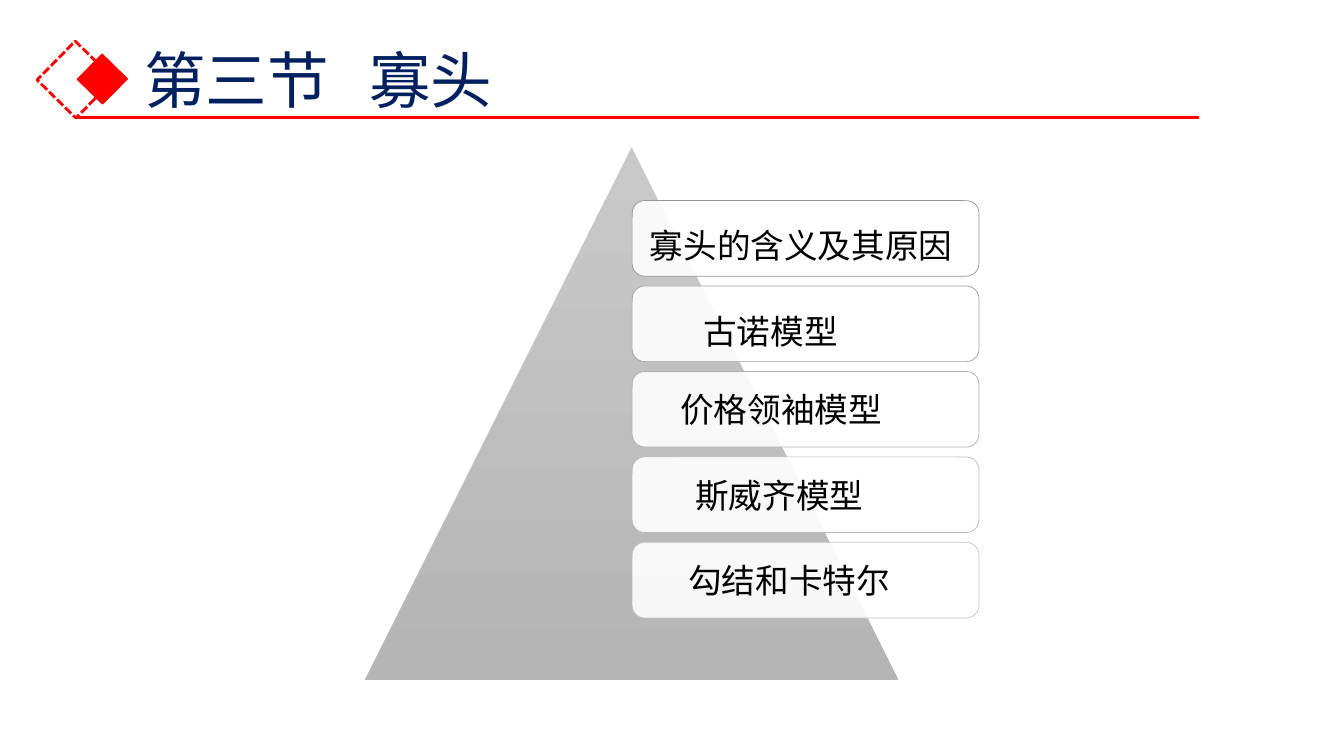
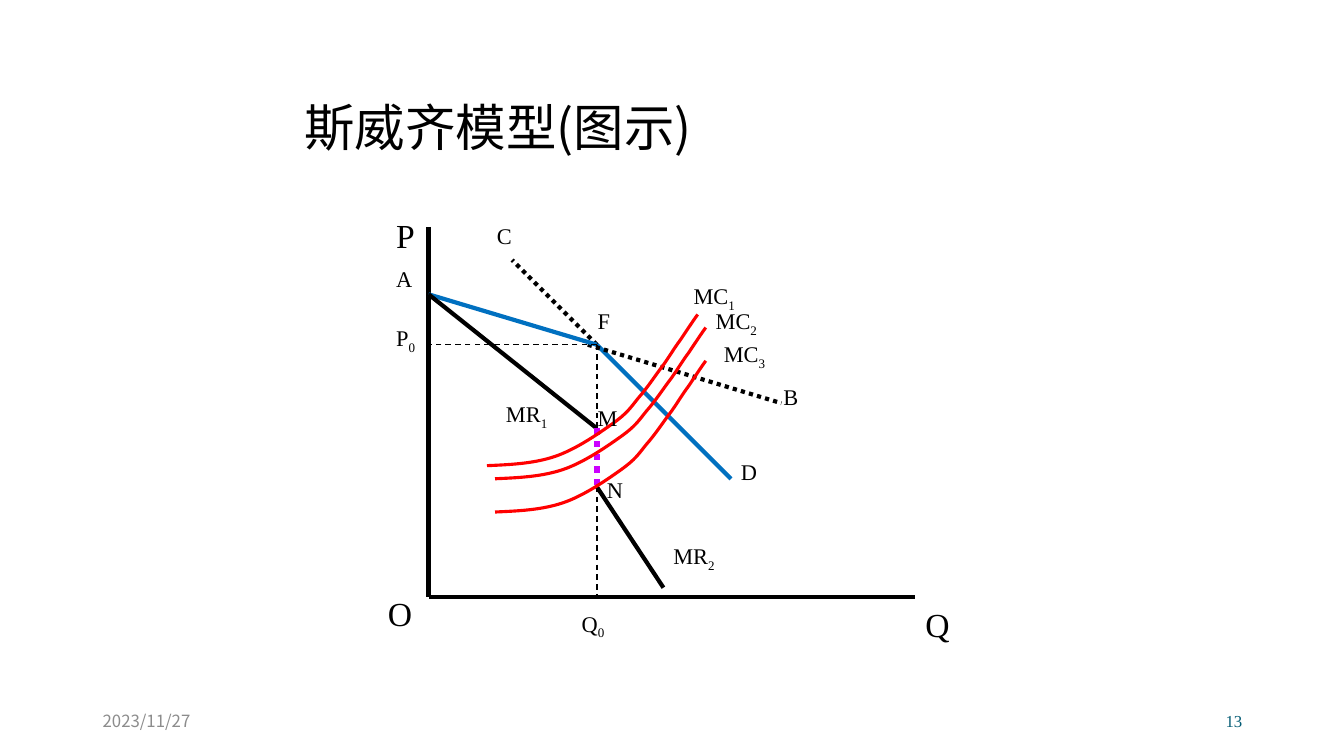
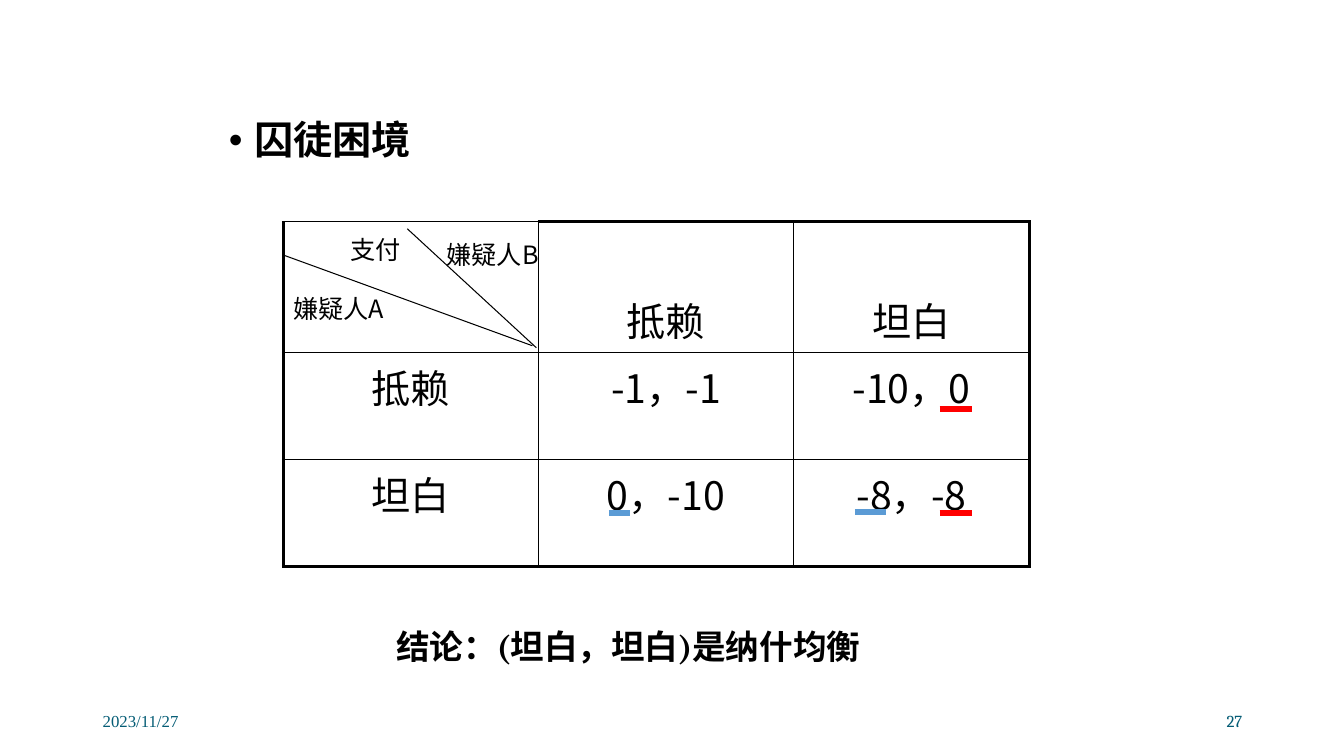
import pptx
import pptx.util
import pptx.dml.color
import pptx.enum.dml
import pptx.enum.shapes
import pptx.enum.text
import pptx.oxml
import pptx.oxml.ns
from lxml import etree

Inches, Pt = pptx.util.Inches, pptx.util.Pt
RGB = pptx.dml.color.RGBColor.from_string
SHAPE = pptx.enum.shapes.MSO_SHAPE
ALIGN = pptx.enum.text.PP_ALIGN
ANCHOR = pptx.enum.text.MSO_ANCHOR
DASHES = {
    "dash": pptx.enum.dml.MSO_LINE.DASH,
    "sysDash": pptx.enum.dml.MSO_LINE.SQUARE_DOT,
    "sysDot": pptx.enum.dml.MSO_LINE.ROUND_DOT,
}
qn = pptx.oxml.ns.qn

CJK, SERIF, CAMBRIA = "Noto Sans CJK SC", "Times New Roman", "Cambria"
THEME = {
    "black": "000000", "white": "FFFFFF", "red": "FF0000", "navy": "002060",
    "blue": "0070C0", "sky": "5B9BD5", "violet": "CC00FF", "teal": "045C75",
    "grey": "8C8C8C", "pyramid": ("C9C9C9", "B5B5B5"),
}
STYLES = {
    "section": {"name": CJK, "size": Pt(44), "color": "navy"},
    "title": {"name": CJK, "size": Pt(36), "color": "black"},
    "bullet": {"name": CJK, "size": Pt(28), "color": "black", "bold": True},
    "cell": {"name": CJK, "size": Pt(28), "color": "black"},
    "card": {"name": CJK, "size": Pt(24), "color": "black"},
    "corner": {"name": CJK, "size": Pt(18), "color": "black"},
    "conclusion": {"name": CAMBRIA, "size": Pt(24), "color": "black", "bold": True},
    "axis": {"name": SERIF, "size": Pt(24), "color": "black"},
    "label": {"name": SERIF, "size": Pt(16), "color": "black"},
    "date_grey": {"name": CJK, "size": Pt(12), "color": "grey"},
    "footer": {"name": SERIF, "size": Pt(12), "color": "teal"},
    "footer_cambria": {"name": CAMBRIA, "size": Pt(12), "color": "teal"},
}
DATE = "2023/11/27"

SECTION_TITLE = "第三节\t寡头"
CARDS = [
    ("寡头的含义及其原因", 0, 0.14, "969696"),
    ("古诺模型", 0.53, 0.14, "A2A2A2"),
    ("价格领袖模型", 0.3, 0, "AEAEAE"),
    ("斯威齐模型", 0.45, 0, "BABABA"),
    ("勾结和卡特尔", 0.38, 0, "C6C6C6"),
]

CHART_TITLE = "斯威齐模型(图示)"
ORIGIN, A, F, M, N = (4.25, 5.92), (4.25, 2.92), (5.92, 3.42), (5.92, 4.25), (5.92, 4.83)
CHART_LINES = [
    ((4.25, 2.25), ORIGIN, "black", 3, None),
    (ORIGIN, (9.08, 5.92), "black", 3, None),
    (F, (7.25, 4.75), "blue", 3, None),
    ((5.83, 3.42), (7.75, 4), "black", 3, "sysDot"),
    (F, (5.08, 2.58), "black", 3, "sysDot"),
    (F, A, "blue", 3, None),
    (A, M, "black", 3, None),
    (N, (6.58, 5.83), "black", 3, None),
    (F, M, "black", 1, "dash"),
    (M, N, "violet", 4.5, "sysDot"),
    (N, (5.92, 5.92), "black", 1, "dash"),
    (F, (4.25, 3.42), "black", 1, "dash"),
]
MC_CURVE = [
    (4.83, 4.62),
    (5.06, 4.61), (5.29, 4.6), (5.5, 4.53),
    (5.71, 4.46), (5.94, 4.3), (6.08, 4.2),
    (6.22, 4.1), (6.25, 4.05), (6.33, 3.95),
    (6.42, 3.85), (6.51, 3.71), (6.58, 3.62),
    (6.65, 3.52), (6.69, 3.45), (6.75, 3.37),
    (6.81, 3.28), (6.89, 3.16), (6.92, 3.12),
]
MC_SHIFTS = [(0, 0), (0.08, 0.13), (0.08, 0.46)]
AXIS_LABELS = [("O", 3.75, 5.83), ("Q", 9.08, 5.94), ("P", 3.83, 2.08)]
POINT_LABELS = [
    ("A", "", 3.83, 2.58), ("F", "", 5.83, 3), ("D", "", 7.25, 4.5),
    ("B", "", 7.67, 3.75), ("C", "", 4.83, 2.15), ("M", "", 5.83, 3.96),
    ("N", "", 5.92, 4.67), ("P", "0", 3.83, 3.17), ("Q", "0", 5.67, 6),
    ("MR", "2", 6.58, 5.33), ("MR", "1", 4.92, 3.92), ("MC", "1", 6.78, 2.75),
    ("MC", "2", 7, 3), ("MC", "3", 7.08, 3.33),
]

BULLET = "囚徒困境"
PAYOFFS = [
    ["", "抵赖", "坦白"],
    ["抵赖", "-1，-1", "-10，0"],
    ["坦白", "0，-10", "-8，-8"],
]
COL_WIDTHS, ROW_HEIGHTS = [2.53, 2.53, 2.34], [1.3, 1.06, 1.06]
CORNER_LABELS = [
    ("嫌疑人A", 2.81, 2.86, 1.36),
    ("嫌疑人B", 4.33, 2.33, 1.26),
    ("支付", 3.38, 2.28, 1.58),
]
PAYOFF_LINES = [
    ((4.04, 2.27), (5.32, 3.45), "black", 0.75, None),
    ((2.81, 2.53), (5.28, 3.43), "black", 0.75, None),
    ((6.04, 5.09), (6.25, 5.09), "sky", 4.5, None),
    ((8.48, 5.08), (8.79, 5.08), "sky", 4.5, None),
    ((9.32, 5.09), (9.64, 5.09), "red", 4.5, None),
    ((9.32, 4.06), (9.64, 4.06), "red", 4.5, None),
]
CONCLUSION = "结论：(坦白，坦白)是纳什均衡"


def set_attrs(obj, **values):
    for key, value in values.items():
        setattr(obj, key, value)


def place(sp, *box):
    set_attrs(sp, **dict(zip(("left", "top", "width", "height"), map(Inches, box))))


def add_run(p, text, style):
    r = p.add_run()
    r.text = text
    for key, value in STYLES[style].items():
        if key == "color":
            r.font.color.rgb = RGB(THEME[value])
        else:
            setattr(r.font, key, value)
    etree.SubElement(r._r.get_or_add_rPr(), qn("a:ea")).set("typeface", CJK)
    return r


def add_text(s, text, style, box, sub="", align=ALIGN.LEFT, anchor=ANCHOR.TOP):
    tf = s.shapes.add_textbox(*map(Inches, box)).text_frame
    set_attrs(tf, word_wrap=True, vertical_anchor=anchor)
    p = tf.paragraphs[0]
    p.alignment = align
    add_run(p, text, style)
    if sub:
        add_run(p, sub, style)._r.get_or_add_rPr().set("baseline", "-25000")


def set_line(line, color, width, dash=None):
    line.color.rgb = RGB(color)
    line.width = Pt(width)
    if dash:
        line.dash_style = DASHES[dash]


def add_lines(s, lines):
    for start, end, color, width, dash in lines:
        cxn = s.shapes.add_connector(
            pptx.enum.shapes.MSO_CONNECTOR.STRAIGHT, *map(Inches, start + end))
        set_line(cxn.line, THEME[color], width, dash)
        etree.SubElement(cxn._element.spPr, qn("a:effectLst"))


def add_shape(s, kind, box, fill=None):
    sp = s.shapes.add_shape(kind, *map(Inches, box))
    sp.shadow.inherit = False
    if fill:
        sp.fill.solid()
        sp.fill.fore_color.rgb = RGB(fill)
    else:
        sp.fill.background()
    return sp


def set_title(s, text, style, box):
    sp = s.shapes.title
    place(sp, *box)
    tf = sp.text_frame
    set_attrs(tf, word_wrap=True, vertical_anchor=ANCHOR.MIDDLE,
              auto_size=pptx.enum.text.MSO_AUTO_SIZE.NONE)
    p = tf.paragraphs[0]
    set_attrs(p, alignment=ALIGN.LEFT, line_spacing=0.9)
    tabs = etree.SubElement(p._p.get_or_add_pPr(), qn("a:tabLst"))
    etree.SubElement(tabs, qn("a:tab"), pos=str(Inches(2.23)), algn="l")
    add_run(p, text, style)


def add_footer(s, number, date_style, number_style):
    add_text(s, DATE, date_style, (0.92, 6.95, 3, 0.4), anchor=ANCHOR.MIDDLE)
    add_text(s, number, number_style, (9.42, 6.95, 3, 0.4),
             align=ALIGN.RIGHT, anchor=ANCHOR.MIDDLE)


def add_curve(s, points):
    pts = [(Inches(x), Inches(y)) for x, y in points]
    builder = s.shapes.build_freeform(*pts[0])
    builder.add_line_segments(pts[1:], close=False)
    sp = builder.convert_to_shape()
    sp.shadow.inherit = False
    sp.fill.background()
    set_line(sp.line, THEME["red"], 2.25)
    segments = list(sp._element.iter(qn("a:lnTo")))
    for i in range(0, len(segments), 3):
        bezier = etree.Element(qn("a:cubicBezTo"))
        segments[i].addprevious(bezier)
        for segment in segments[i:i + 3]:
            bezier.append(segment[0])
            segment.getparent().remove(segment)


def set_borders(cell, widths):
    tcPr = cell._tc.get_or_add_tcPr()
    for i, (side, width) in enumerate(zip("LRTB", widths)):
        ln = etree.Element(qn("a:ln" + side), w=str(Pt(width)))
        fill = etree.SubElement(ln, qn("a:solidFill"))
        etree.SubElement(fill, qn("a:srgbClr"), val=THEME["black"])
        tcPr.insert(i, ln)


def section_slide(prs):
    s = prs.slides.add_slide(prs.slide_layouts[5])
    set_title(s, SECTION_TITLE, "section", (1.33, 0.1, 11.09, 1.45))
    pyramid = add_shape(s, SHAPE.ISOSCELES_TRIANGLE, (3.62, 1.46, 5.29, 5.29))
    pyramid.fill.gradient()
    pyramid.fill.gradient_angle = 270
    for stop, color in zip(pyramid.fill.gradient_stops, THEME["pyramid"]):
        stop.color.rgb = RGB(color)
    pyramid.line.fill.background()
    for i, (text, indent, drop, outline) in enumerate(CARDS):
        card = add_shape(s, SHAPE.ROUNDED_RECTANGLE,
                         (6.27, 1.99 + 0.8475 * i, 3.44, 0.75), THEME["white"])
        color = card._element.spPr.find(qn("a:solidFill"))[0]
        etree.SubElement(color, qn("a:alpha"), val="90000")
        set_line(card.line, outline, 0.5)
        tf = card.text_frame
        set_attrs(tf, word_wrap=True, vertical_anchor=ANCHOR.MIDDLE,
                  margin_left=Inches(0.14 + indent), margin_right=Inches(0.1),
                  margin_top=Inches(drop), margin_bottom=0)
        tf.paragraphs[0].alignment = ALIGN.LEFT
        add_run(tf.paragraphs[0], text, "card")
    dashed = add_shape(s, SHAPE.RECTANGLE, (0.48, 0.52, 0.54, 0.54))
    solid = add_shape(s, SHAPE.RECTANGLE, (0.84, 0.61, 0.35, 0.35), THEME["red"])
    for sp, width, dash in ((dashed, 2, "sysDash"), (solid, 1, None)):
        sp.rotation = 314.5
        set_line(sp.line, THEME["red"], width, dash)
    add_lines(s, [((0.75, 1.17), (11.89, 1.17), "red", 2.25, None)])


def sweezy_slide(prs):
    s = prs.slides.add_slide(prs.slide_layouts[5])
    set_title(s, CHART_TITLE, "title", (2.92, 0.96, 8.5, 0.67))
    add_footer(s, "13", "date_grey", "footer")
    add_lines(s, CHART_LINES)
    for dx, dy in MC_SHIFTS:
        add_curve(s, [(x + dx, y + dy) for x, y in MC_CURVE])
    for text, x, y in AXIS_LABELS:
        add_text(s, text, "axis", (x, y, 0.67, 0.5))
    for text, sub, x, y in POINT_LABELS:
        add_text(s, text, "label", (x, y, 0.75, 0.37), sub)


def prisoner_slide(prs):
    s = prs.slides.add_slide(prs.slide_layouts[1])
    title = s.shapes.title._element
    title.getparent().remove(title)
    body = s.placeholders[1]
    place(body, 2.17, 1.15, 9, 5.77)
    p = body.text_frame.paragraphs[0]
    p.line_spacing = 0.9
    pPr = p._p.get_or_add_pPr()
    pPr.set("marL", str(Inches(0.25)))
    pPr.set("indent", str(Inches(-0.25)))
    etree.SubElement(pPr, qn("a:buChar"), char="•")
    add_run(p, BULLET, "bullet")

    frame = s.shapes.add_table(3, 3, *map(Inches, (
        2.81, 2.2, sum(COL_WIDTHS), sum(ROW_HEIGHTS))))
    table = frame.table
    set_attrs(table, first_row=False, horz_banding=False)
    for col, width in zip(table.columns, COL_WIDTHS):
        col.width = Inches(width)
    for row, height in zip(table.rows, ROW_HEIGHTS):
        row.height = Inches(height)
    for i, texts in enumerate(PAYOFFS):
        for j, text in enumerate(texts):
            cell = table.cell(i, j)
            cell.fill.background()
            cell.vertical_anchor = ANCHOR.TOP if i else ANCHOR.BOTTOM
            outer = (j == 0, j == 2, i == 0 and j > 0, i == 2)
            set_borders(cell, [2.25 if edge else 1 for edge in outer])
            if text:
                p = cell.text_frame.paragraphs[0]
                p.alignment = ALIGN.CENTER
                add_run(p, text, "cell")
    add_lines(s, PAYOFF_LINES)
    for text, x, y, width in CORNER_LABELS:
        add_text(s, text, "corner", (x, y, width, 0.4))
    add_text(s, CONCLUSION, "conclusion", (3.83, 6.16, 5.26, 0.51))
    add_footer(s, "27", "footer", "footer_cambria")


def main():
    prs = pptx.Presentation()
    set_attrs(prs, slide_width=Inches(13.33), slide_height=Inches(7.5))
    for build in (section_slide, sweezy_slide, prisoner_slide):
        build(prs)
    prs.save("out.pptx")


if __name__ == "__main__":
    main()
